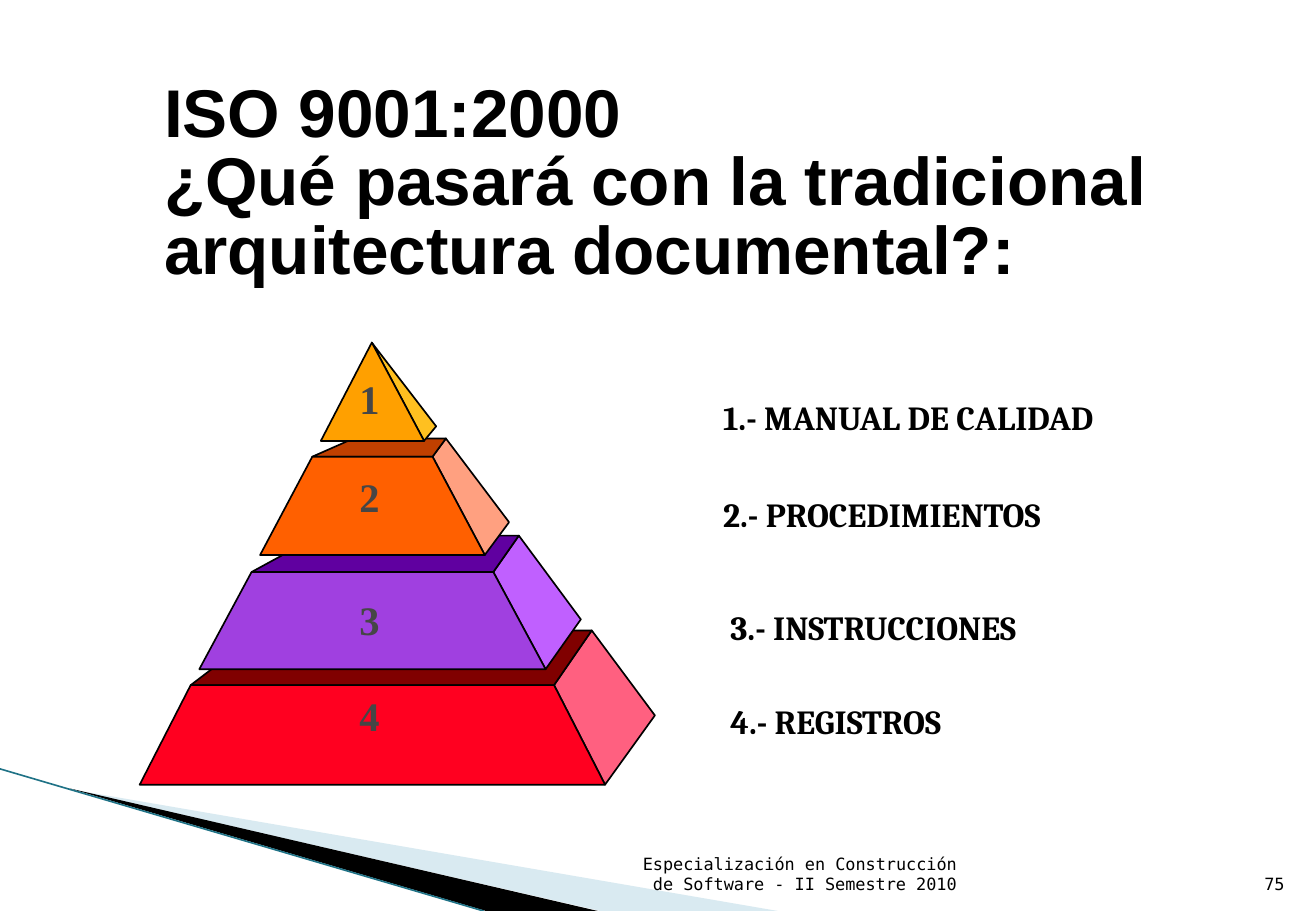
"""Builds the slide on the ISO 9001:2000 document pyramid."""
import dataclasses

import lxml.etree
import pptx
import pptx.dml.color
import pptx.enum.shapes
import pptx.enum.text
import pptx.oxml.ns
import pptx.util

Inches = pptx.util.Inches
Pt = pptx.util.Pt
ALIGN = pptx.enum.text.PP_ALIGN
ANCHOR = pptx.enum.text.MSO_ANCHOR


@dataclasses.dataclass(frozen=True)
class Theme:
    """Colours, fonts and type sizes of the slide."""
    ink: str = "000000"
    number_ink: str = "464646"
    sweep_pale: str = "A0CBDC"
    sweep_line: str = "1F7286"
    title_font: str = "Arial"
    list_font: str = "Cambria"
    number_font: str = "Times New Roman"
    footer_font: str = "DejaVu Sans Mono"
    title_size: int = 40
    list_size: int = 20
    list_line: int = 24
    number_size: int = 24
    footer_size: int = 10


@dataclasses.dataclass(frozen=True)
class Tier:
    """One level of the pyramid: corner points and the colour of each face."""
    number: str
    number_top: float
    bottom_left: tuple
    bottom_right: tuple
    top_right: tuple
    top_left: tuple
    back_right: tuple
    back_left: tuple
    side_low: tuple
    front_fill: str
    side_fill: str
    top_fill: str


APEX = (3.06, 2.82)
TIERS = [
    Tier("4", 5.64, (1.15, 6.46), (4.98, 6.46), (4.56, 5.64), (1.57, 5.64),
         (4.87, 5.19), (2.16, 5.19), (5.39, 5.89), "FF0020", "FF6080", "800000"),
    Tier("3", 4.85, (1.64, 5.51), (4.49, 5.51), (4.06, 4.71), (2.07, 4.71),
         (4.27, 4.41), (2.62, 4.41), (4.78, 5.1), "A040E0", "C060FF", "6000A0"),
    Tier("2", 3.84, (2.14, 4.57), (3.99, 4.57), (3.56, 3.76), (2.57, 3.76),
         (3.67, 3.61), (2.91, 3.61), (4.19, 4.3), "FF6000", "FFA080", "C04000"),
    Tier("1", 3.03, (2.64, 3.63), (3.49, 3.63), APEX, APEX,
         APEX, APEX, (3.59, 3.51), "FFA000", "FFC020", ""),
]
DOCUMENTS = [
    ("1.- MANUAL DE CALIDAD", 0.06, 0),
    ("2.- PROCEDIMIENTOS", 0.06, 33),
    ("3.- INSTRUCCIONES", 0.12, 43),
    ("4.- REGISTROS", 0.12, 32),
]


class SlideBuilder:
    """Holds the theme and the current slide and adds elements to it."""

    def __init__(self, slide, theme):
        self.slide = slide
        self.theme = theme

    def color(self, value):
        return pptx.dml.color.RGBColor.from_string(value)

    def place(self, shape, left, top, width, height):
        shape.left, shape.top = Inches(left), Inches(top)
        shape.width, shape.height = Inches(width), Inches(height)

    def format_runs(self, paragraph, font, size, color, bold=True):
        for run in paragraph.runs:
            run.font.name = font
            run.font.size = Pt(size)
            run.font.bold = bold
            run.font.color.rgb = self.color(color)

    def title(self, text, *box):
        shape = self.slide.shapes.title
        self.place(shape, *box)
        frame = shape.text_frame
        frame.text = text
        frame.auto_size = pptx.enum.text.MSO_AUTO_SIZE.NONE
        frame.vertical_anchor = ANCHOR.MIDDLE
        frame.margin_left = frame.margin_right = 0
        frame.margin_top = frame.margin_bottom = 0
        paragraph = frame.paragraphs[0]
        paragraph.alignment = ALIGN.LEFT
        paragraph.line_spacing = 0.85
        self.format_runs(paragraph, self.theme.title_font, self.theme.title_size, self.theme.ink)

    def body(self, items, *box):
        shape = self.slide.placeholders[1]
        self.place(shape, *box)
        frame = shape.text_frame
        frame.text = "\n".join(text for text, _, _ in items)
        frame.auto_size = pptx.enum.text.MSO_AUTO_SIZE.NONE
        frame.vertical_anchor = ANCHOR.TOP
        frame.margin_top = Inches(0.13)
        for paragraph, (_, indent, gap) in zip(frame.paragraphs, items):
            paragraph.line_spacing = Pt(self.theme.list_line)
            paragraph.space_before = Pt(gap)
            properties = paragraph._p.get_or_add_pPr()
            properties.set("marL", str(Inches(indent)))
            properties.set("indent", "0")
            lxml.etree.SubElement(properties, pptx.oxml.ns.qn("a:buNone"))
            self.format_runs(paragraph, self.theme.list_font, self.theme.list_size, self.theme.ink)

    def text(self, text, box, font, size, color, align, anchor, bold=True, wrap=True):
        frame = self.slide.shapes.add_textbox(*map(Inches, box)).text_frame
        frame.text = text
        frame.word_wrap = wrap
        frame.vertical_anchor = anchor
        frame.paragraphs[0].alignment = align
        self.format_runs(frame.paragraphs[0], font, size, color, bold)

    def polygon(self, points, fill, outline="", opacity=100):
        corners = [(Inches(x), Inches(y)) for x, y in points]
        builder = self.slide.shapes.build_freeform(*corners[0])
        builder.add_line_segments(corners[1:], close=True)
        shape = builder.convert_to_shape()
        shape.shadow.inherit = False
        shape.fill.solid()
        shape.fill.fore_color.rgb = self.color(fill)
        if opacity < 100:
            solid = shape.fill._xPr.find(pptx.oxml.ns.qn("a:solidFill"))
            alpha = lxml.etree.SubElement(solid[0], pptx.oxml.ns.qn("a:alpha"))
            alpha.set("val", str(opacity * 1000))
        if outline:
            shape.line.color.rgb = self.color(outline)
            shape.line.width = Pt(1)
        else:
            shape.line.fill.background()

    def line(self, start, end, color, width):
        connector = self.slide.shapes.add_connector(
            pptx.enum.shapes.MSO_CONNECTOR.STRAIGHT, *map(Inches, start + end))
        connector.line.color.rgb = self.color(color)
        connector.line.width = Pt(width)
        lxml.etree.SubElement(connector._element.spPr, pptx.oxml.ns.qn("a:effectLst"))

    def tier(self, tier):
        ink = self.theme.ink
        self.polygon([tier.bottom_right, tier.top_right, tier.back_right, tier.side_low],
                     tier.side_fill, ink)
        if tier.top_fill:
            self.polygon([tier.top_left, tier.top_right, tier.back_right, tier.back_left],
                         tier.top_fill, ink)
        self.polygon([tier.bottom_left, tier.bottom_right, tier.top_right, tier.top_left],
                     tier.front_fill, ink)
        self.text(tier.number, (2.86, tier.number_top, 0.36, 0.5), self.theme.number_font,
                  self.theme.number_size, self.theme.number_ink, ALIGN.CENTER, ANCHOR.TOP,
                  wrap=False)

    def footer(self, text, *box):
        self.text(text, box, self.theme.footer_font, self.theme.footer_size,
                  self.theme.ink, ALIGN.RIGHT, ANCHOR.BOTTOM, bold=False)


def main():
    presentation = pptx.Presentation()
    presentation.slide_width = Inches(10.83)
    presentation.slide_height = Inches(7.5)
    slide = presentation.slides.add_slide(presentation.slide_layouts[1])
    theme = Theme()
    builder = SlideBuilder(slide, theme)

    builder.polygon([(0.59, 6.5), (6.4, 7.5), (4.94, 7.5)], theme.sweep_pale, opacity=40)
    builder.polygon([(0.57, 6.49), (4.92, 7.5), (4.0, 7.5)], theme.ink)
    builder.line((0, 6.33), (3.98, 7.5), theme.sweep_line, 0.95)
    builder.title("ISO 9001:2000\v¿Qué pasará con la tradicional arquitectura documental?:",
                  1.35, 0.86, 8.71, 1.33)
    builder.body(DOCUMENTS, 5.79, 3.14, 4.71, 2.98)
    for tier in TIERS:
        builder.tier(tier)
    builder.footer("Especialización en Construcción de Software - II Semestre 2010",
                   5.15, 7.01, 2.82, 0.4)
    builder.footer("75", 10.24, 7.01, 0.43, 0.4)
    presentation.save("out.pptx")


if __name__ == "__main__":
    main()
